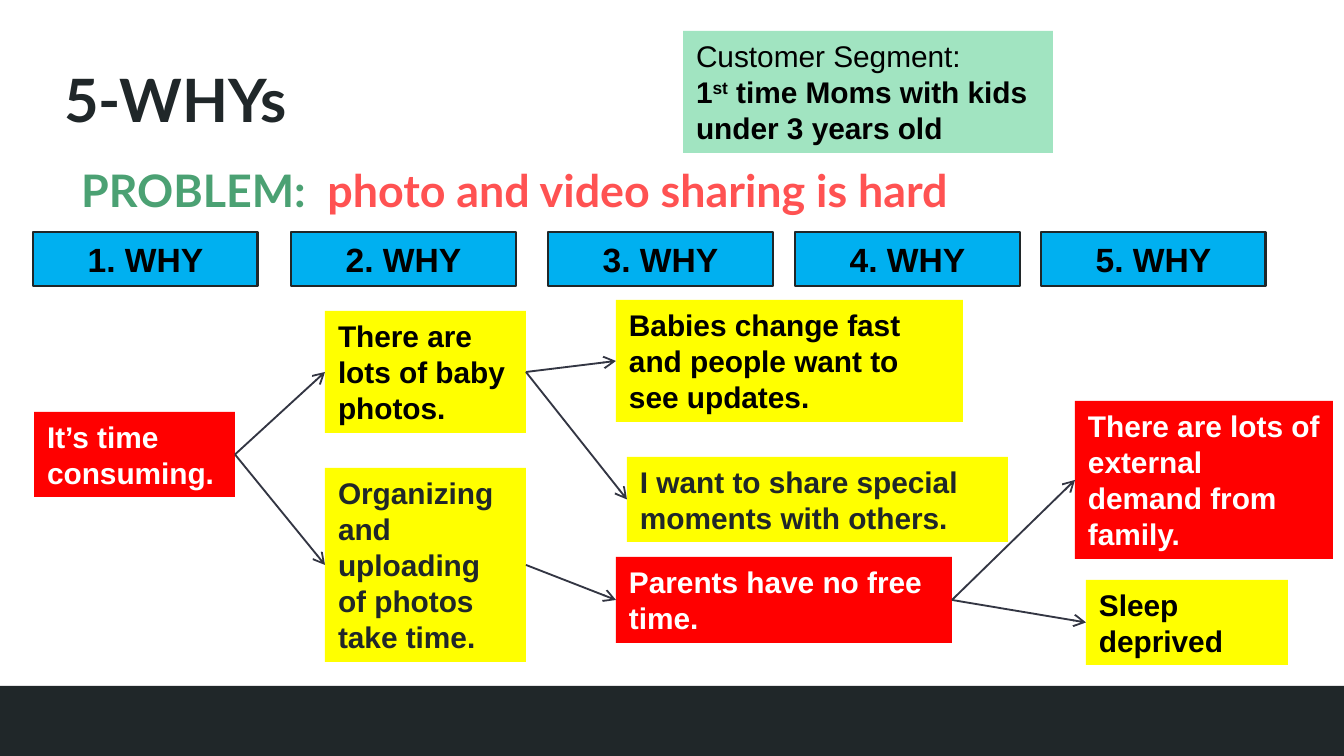
from lxml import etree
from pptx import Presentation
from pptx import util as u
from pptx.dml.color import RGBColor
from pptx.enum import shapes, text
from pptx.oxml.ns import qn

EMU_PER_PX = 914400 / 134.4
BLACK, WHITE, DARK = "000000", "FFFFFF", "202729"
RED, YELLOW, BLUE, MINT = "FF0000", "FFFF00", "00B0F0", "A1E4C1"
GREEN, CORAL, ARROW = "4BA173", "FF5252", "333643"
TOP, LEFT, BOTTOM, RIGHT = range(4)

WHY_LEFTS = [33, 291, 548, 795, 1041]

# key: (left, top, width, height, fill, text colour, wording)
REASONS = {
    "time": (34, 412, 201, 85, RED, WHITE, "It’s time consuming."),
    "lots": (325, 311, 201, 122, YELLOW, BLACK, "There are lots of baby photos."),
    "babies": (616, 300, 347, 122, YELLOW, BLACK,
               "Babies change fast and people want to see updates."),
    "share": (627, 457, 381, 85, YELLOW, DARK,
              "I want to share special moments with others."),
    "organizing": (325, 468, 201, 194, YELLOW, DARK,
                   "Organizing and uploading of photos take time."),
    "demand": (1075, 401, 258, 158, RED, WHITE,
               "There are lots of external demand from family."),
    "parents": (616, 557, 336, 86, RED, WHITE, "Parents have no free time."),
    "sleep": (1086, 580, 202, 85, YELLOW, BLACK, "Sleep deprived"),
}

CAUSES = [("time", "lots"), ("time", "organizing"), ("lots", "babies"),
          ("lots", "share"), ("organizing", "parents"),
          ("parents", "demand"), ("parents", "sleep")]


def px(value):
    return u.Emu(round(value * EMU_PER_PX))


def rgb(value):
    return RGBColor.from_string(value)


def add_run(paragraph, wording, size=16, font="Arial", color=BLACK,
            bold=True, superscript=False):
    run = paragraph.add_run()
    run.text = wording
    run.font.size = u.Pt(size)
    run.font.name = font
    run.font.bold = bold
    run.font.color.rgb = rgb(color)
    if superscript:
        run.font._element.set("baseline", "30000")


def set_frame(frame, inset, anchor=text.MSO_ANCHOR.TOP):
    """Wrap the text, with 13 px at the sides and the inset above and below."""
    frame.word_wrap = True
    frame.auto_size = text.MSO_AUTO_SIZE.NONE
    frame.vertical_anchor = anchor
    frame.margin_left = frame.margin_right = px(13)
    frame.margin_top = frame.margin_bottom = px(inset)
    frame.paragraphs[0].alignment = text.PP_ALIGN.LEFT


def add_box(slide, left, top, width, height, fill, line=None):
    box = slide.shapes.add_shape(shapes.MSO_SHAPE.RECTANGLE,
                                 px(left), px(top), px(width), px(height))
    box.shadow.inherit = False
    box.fill.solid()
    box.fill.fore_color.rgb = rgb(fill)
    if line:
        box.line.color.rgb = rgb(line)
        box.line.width = u.Pt(1.5)
    else:
        box.line.fill.background()
    set_frame(box.text_frame, inset=7)
    return box


def add_arrow(slide, cause, effect):
    arrow = slide.shapes.add_connector(shapes.MSO_CONNECTOR.STRAIGHT, 0, 0, 0, 0)
    arrow.begin_connect(cause, RIGHT)
    arrow.end_connect(effect, LEFT)
    arrow.line.color.rgb = rgb(ARROW)
    arrow.line.width = u.Pt(1)
    etree.SubElement(arrow.line._get_or_add_ln(), qn("a:tailEnd"), type="arrow")
    etree.SubElement(arrow._element.spPr, qn("a:effectLst"))


def add_title(slide):
    title = slide.shapes.title
    title.left, title.top, title.width, title.height = map(px, (51, 50, 1089, 98))
    set_frame(title.text_frame, inset=13, anchor=text.MSO_ANCHOR.BOTTOM)
    add_run(title.text_frame.paragraphs[0], "5-WHYs", size=32, font="Lato", color=DARK)


def add_problem(slide):
    problem = slide.shapes.add_textbox(px(68), px(142), px(1089), px(86))
    set_frame(problem.text_frame, inset=13)
    paragraph = problem.text_frame.paragraphs[0]
    paragraph.line_spacing = 1.15
    paragraph.space_after = u.Pt(16)
    add_run(paragraph, "PROBLEM: ", size=24, font="Lato", color=GREEN)
    add_run(paragraph, " photo and video sharing is hard", size=24, font="Lato", color=CORAL)


def add_segment(slide):
    frame = add_box(slide, 683, 31, 370, 122, MINT).text_frame
    add_run(frame.paragraphs[0], "Customer Segment:", bold=False)
    customers = frame.add_paragraph()
    customers.alignment = text.PP_ALIGN.LEFT
    add_run(customers, "1")
    add_run(customers, "st", superscript=True)
    add_run(customers, " time Moms with kids under 3 years old")


def add_why_headers(slide):
    for number, left in enumerate(WHY_LEFTS, start=1):
        header = add_box(slide, left, 232, 225, 54, BLUE, line=DARK)
        paragraph = header.text_frame.paragraphs[0]
        paragraph.alignment = text.PP_ALIGN.CENTER
        add_run(paragraph, f"{number}. WHY", size=18)


def add_reasons(slide):
    boxes = {}
    for key, (left, top, width, height, fill, color, wording) in REASONS.items():
        boxes[key] = add_box(slide, left, top, width, height, fill)
        add_run(boxes[key].text_frame.paragraphs[0], wording, color=color)
    for cause, effect in CAUSES:
        add_arrow(slide, boxes[cause], boxes[effect])


def main():
    deck = Presentation()
    deck.slide_width, deck.slide_height = px(1344), px(756)
    slide = deck.slides.add_slide(deck.slide_layouts[5])
    slide.background.fill.solid()
    slide.background.fill.fore_color.rgb = rgb(WHITE)
    add_box(slide, 0, 686, 1344, 70, DARK)
    add_title(slide)
    add_problem(slide)
    add_segment(slide)
    add_why_headers(slide)
    add_reasons(slide)
    deck.save("out.pptx")


if __name__ == "__main__":
    main()
